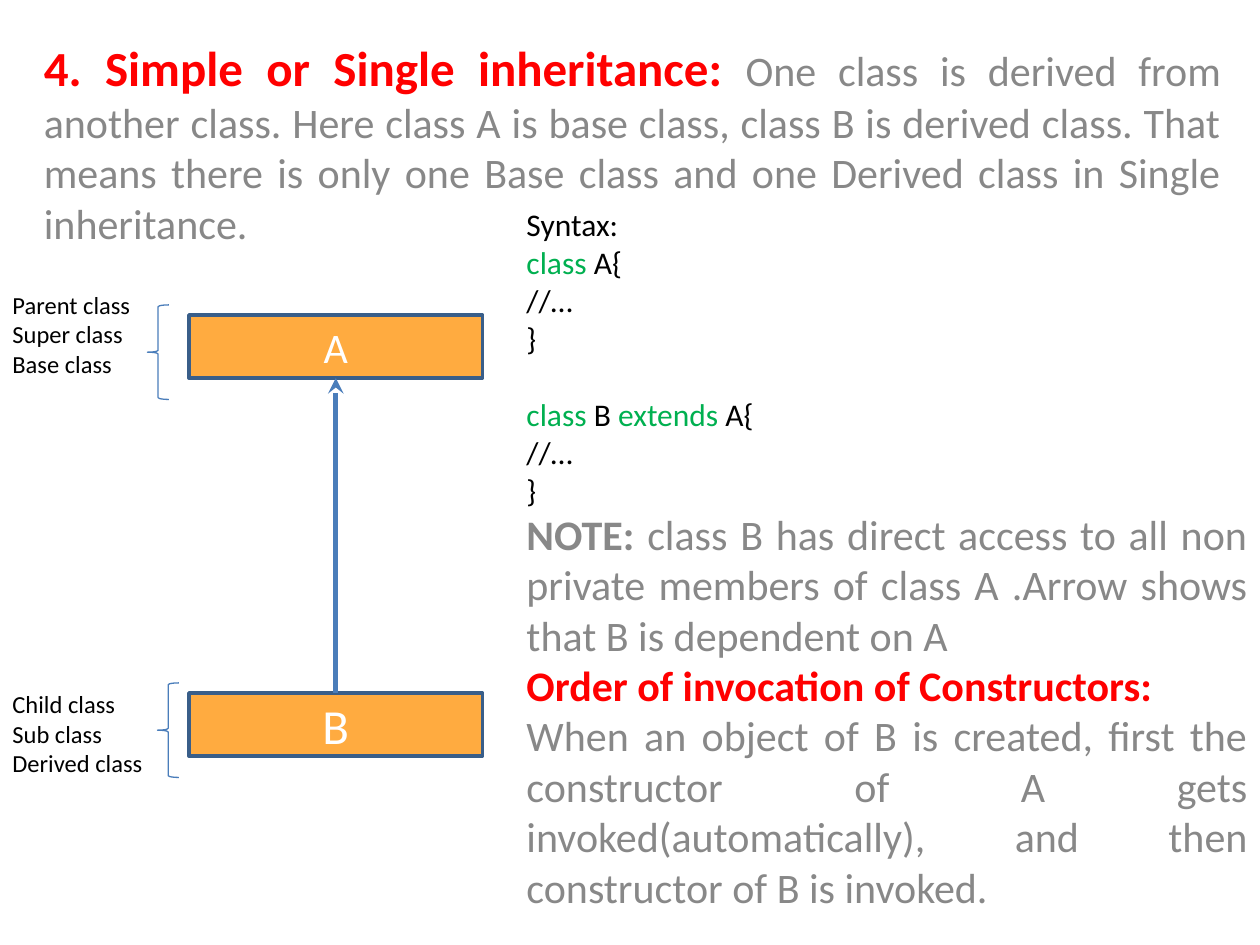
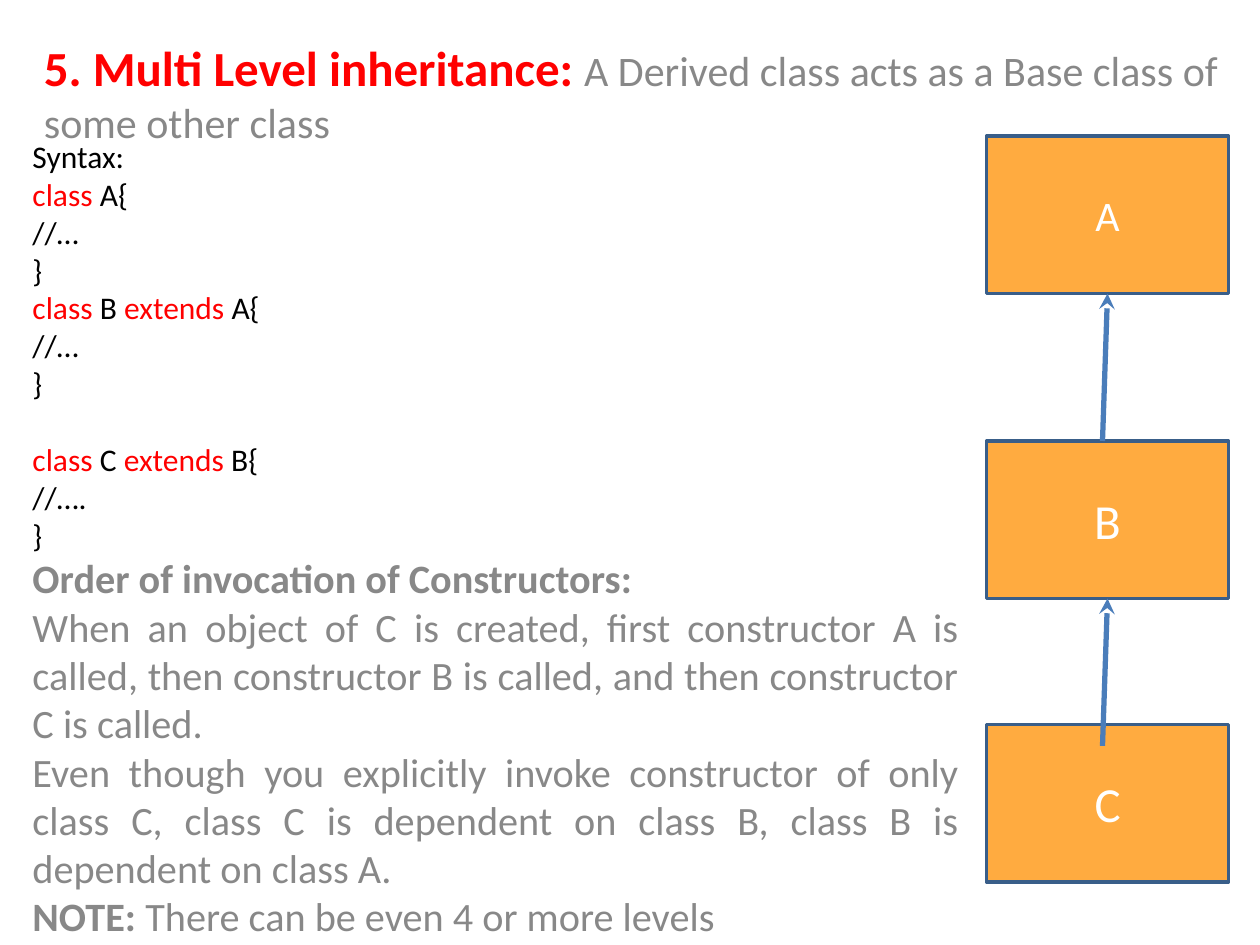
import pptx
import pptx.util
import pptx.dml.color
import pptx.enum.shapes
import pptx.enum.text
import pptx.oxml.ns
import lxml.etree
from collections import namedtuple

Inches = pptx.util.Inches
Pt = pptx.util.Pt
RGBColor = pptx.dml.color.RGBColor
SHAPE = pptx.enum.shapes.MSO_SHAPE
ALIGN = pptx.enum.text.PP_ALIGN
qn = pptx.oxml.ns.qn

RED = RGBColor(0xFF, 0x00, 0x00)
GREEN = RGBColor(0x00, 0xB0, 0x50)
GRAY = RGBColor(0x88, 0x88, 0x88)
BLACK = RGBColor(0x00, 0x00, 0x00)
WHITE = RGBColor(0xFF, 0xFF, 0xFF)
ORANGE = RGBColor(0xFF, 0xAB, 0x40)
BOX_EDGE = RGBColor(0x39, 0x5E, 0x89)
LINE_BLUE = RGBColor(0x4A, 0x7D, 0xBA)

FONT = "Calibri"
CODE_LINE = 22

Style = namedtuple("Style", "size color bold", defaults=(False,))
Paragraph = namedtuple("Paragraph", "runs align space", defaults=(ALIGN.LEFT, 0))

HEADING = Style(28, RED, True)
BODY = Style(24, GRAY)
BODY_BOLD = Style(24, GRAY, True)
SUBHEADING = Style(24, RED, True)
SMALL_BODY = Style(23, GRAY)
SMALL_BOLD = Style(23, GRAY, True)
CODE = Style(18, BLACK)
LABEL = Style(14, BLACK)


def code_class(name, parent, keyword_color, comment="//…", space=0):
    keyword = Style(18, keyword_color)
    runs = [("class", keyword)]
    if parent:
        runs += [(f" {name} ", CODE), ("extends", keyword), (f" {parent}{{", CODE)]
    else:
        runs.append((f" {name}{{", CODE))
    return [Paragraph(runs, space=space), Paragraph([(comment, CODE)]), Paragraph([("}", CODE)])]


def justified(*runs):
    return Paragraph(runs, ALIGN.JUSTIFY)


SYNTAX = Paragraph([("Syntax:", CODE)])
ORDER = "Order of invocation of Constructors:"

SINGLE_TITLE = [justified(
    ("4. Simple or Single inheritance: ", HEADING),
    ("One class is derived from another class. Here class A is base class, class B is derived class. "
     "That means there is only one Base class and one Derived class in Single inheritance.", BODY))]
SINGLE_TEXT = [
    SYNTAX,
    *code_class("A", None, GREEN),
    *code_class("B", "A", GREEN, space=CODE_LINE),
    justified(("NOTE: ", BODY_BOLD),
              ("class B has direct access to all non private members of class A "
               ".Arrow shows that B is dependent on A", BODY)),
    justified((ORDER, SUBHEADING)),
    justified(("When an object of B is created, first the constructor of A gets "
               "invoked(automatically), and then constructor of B is invoked.", BODY)),
]
ROLES = [
    (1.17, 2.42, 2.25, ["Parent class", "Super class", "Base class"]),
    (1.25, 5.42, 5.42, ["Child class", "Sub class", "Derived class"]),
]
SINGLE_BOXES = [("A", 24, 2.5), ("B", 28, 5.5)]

MULTI_TITLE = [Paragraph([
    ("5. Multi Level inheritance: ", HEADING),
    ("A Derived class acts as a Base class of some other class", BODY)])]
MULTI_TEXT = [
    SYNTAX,
    *code_class("A", None, RED),
    *code_class("B", "A", RED),
    *code_class("C", "B", RED, comment="//….", space=CODE_LINE),
    justified((ORDER, SMALL_BOLD)),
    justified(("When an object of C is created, first constructor A is called, then constructor B "
               "is called, and then constructor C is called.", SMALL_BODY)),
    justified(("Even though you explicitly invoke constructor of only class C, class C is dependent "
               "on class B, class B is dependent on class A.", SMALL_BODY)),
    justified(("NOTE: ", SMALL_BOLD), ("There can be even 4 or more levels", SMALL_BODY)),
]
MULTI_BOXES = [("A", 24, 1.08), ("B", 28, 3.5), ("C", 28, 5.75)]
MULTI_ARROW_X = 8.75
MULTI_ARROW_RISE = 1.17


def add_run(paragraph, text, style):
    run = paragraph.add_run()
    run.text = text
    run.font.name = FONT
    run.font.size = Pt(style.size)
    run.font.bold = style.bold
    run.font.color.rgb = style.color


def add_text(slide, left, top, width, height, paragraphs):
    frame = slide.shapes.add_textbox(Inches(left), Inches(top), Inches(width), Inches(height)).text_frame
    frame.word_wrap = True
    for index, content in enumerate(paragraphs):
        paragraph = frame.add_paragraph() if index else frame.paragraphs[0]
        paragraph.alignment = content.align
        paragraph.space_before = Pt(content.space)
        for text, style in content.runs:
            add_run(paragraph, text, style)


def add_class_boxes(slide, boxes, left, width, height):
    shapes = []
    for name, size, top in boxes:
        shape = slide.shapes.add_shape(SHAPE.RECTANGLE, Inches(left), Inches(top), Inches(width), Inches(height))
        shape.shadow.inherit = False
        shape.fill.solid()
        shape.fill.fore_color.rgb = ORANGE
        shape.line.color.rgb = BOX_EDGE
        shape.line.width = Pt(2)
        shape.text_frame.vertical_anchor = pptx.enum.text.MSO_ANCHOR.MIDDLE
        paragraph = shape.text_frame.paragraphs[0]
        paragraph.alignment = ALIGN.CENTER
        add_run(paragraph, name, Style(size, WHITE))
        shapes.append(shape)
    return shapes


def add_arrow(slide, start_x, start_y, parent):
    connector = slide.shapes.add_connector(
        pptx.enum.shapes.MSO_CONNECTOR.STRAIGHT, start_x, start_y,
        parent.left + parent.width // 2, parent.top + parent.height)
    connector.end_connect(parent, 2)
    connector.line.color.rgb = LINE_BLUE
    connector.line.width = Pt(3)
    properties = connector._element.spPr
    lxml.etree.SubElement(properties.find(qn("a:ln")), qn("a:tailEnd"), type="stealth")
    lxml.etree.SubElement(properties, qn("a:effectLst"))
    return connector


def add_brace(slide, left, top):
    brace = slide.shapes.add_shape(SHAPE.LEFT_BRACE, Inches(left), Inches(top), Inches(0.17), Inches(0.75))
    brace.shadow.inherit = False
    brace.fill.background()
    brace.line.color.rgb = LINE_BLUE
    brace.line.width = Pt(0.75)


def build_single_inheritance(slide):
    parent, child = add_class_boxes(slide, SINGLE_BOXES, 1.5, 2.33, 0.5)
    arrow = add_arrow(slide, child.left + child.width // 2, child.top, parent)
    arrow.begin_connect(child, 0)
    add_text(slide, 0.25, 0.25, 9.54, 1.72, SINGLE_TITLE)
    add_text(slide, 4.08, 1.58, 5.92, 5.76, SINGLE_TEXT)
    for brace_left, brace_top, label_top, names in ROLES:
        add_brace(slide, brace_left, brace_top)
        add_text(slide, 0, label_top, 1.25, 0.81, [Paragraph([(name, LABEL)]) for name in names])


def build_multi_level_inheritance(slide):
    boxes = add_class_boxes(slide, MULTI_BOXES, 7.83, 1.92, 1.25)
    for parent in boxes[:-1]:
        start_y = parent.top + parent.height + Inches(MULTI_ARROW_RISE)
        add_arrow(slide, Inches(MULTI_ARROW_X), start_y, parent)
    add_text(slide, 0.25, 0.25, 9.64, 0.91, MULTI_TITLE)
    add_text(slide, 0.16, 1.04, 7.56, 6.46, MULTI_TEXT)


def main():
    presentation = pptx.Presentation()
    presentation.slide_width = Inches(10)
    presentation.slide_height = Inches(7.5)
    for build in (build_single_inheritance, build_multi_level_inheritance):
        build(presentation.slides.add_slide(presentation.slide_layouts[6]))
    presentation.save("out.pptx")


if __name__ == "__main__":
    main()
